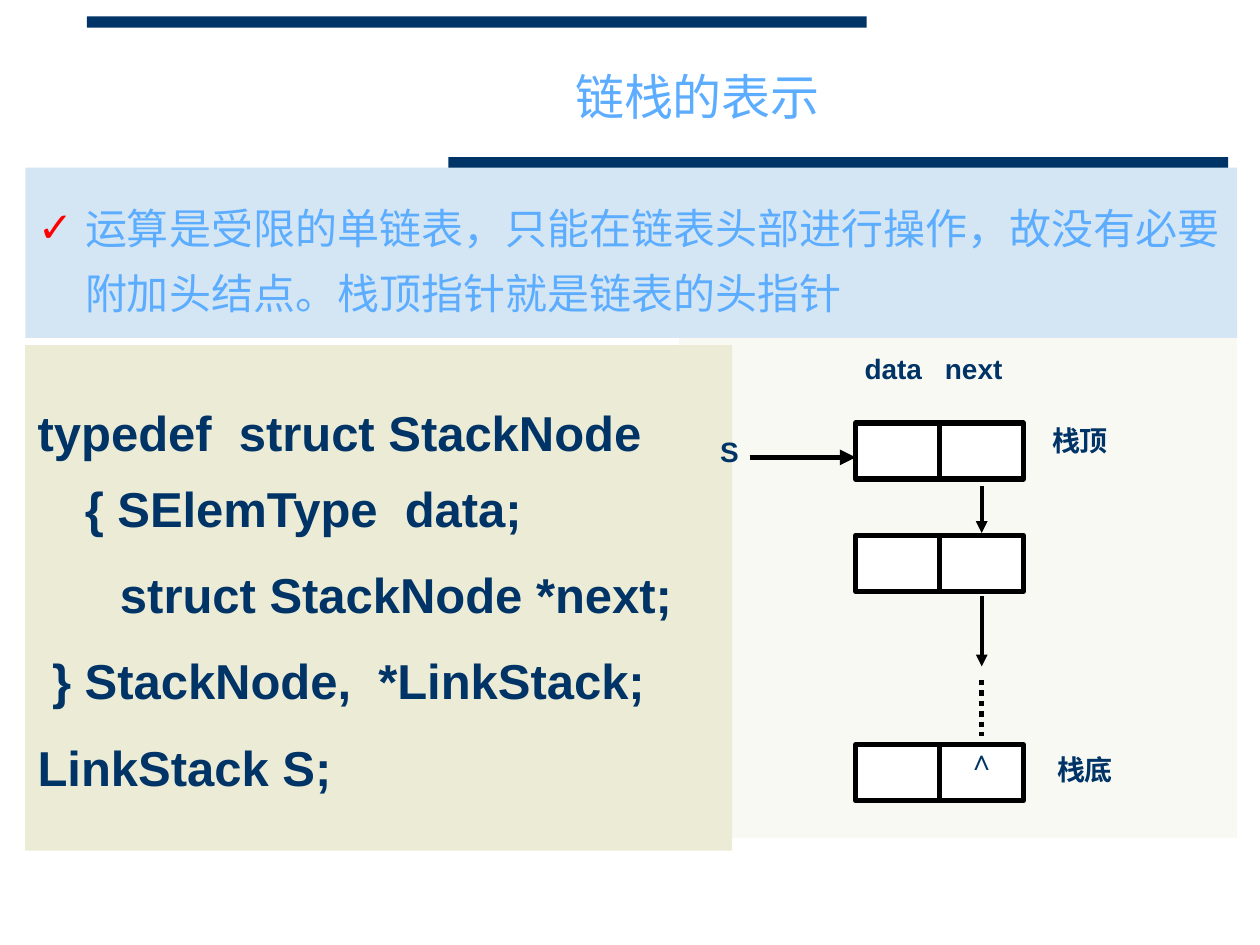
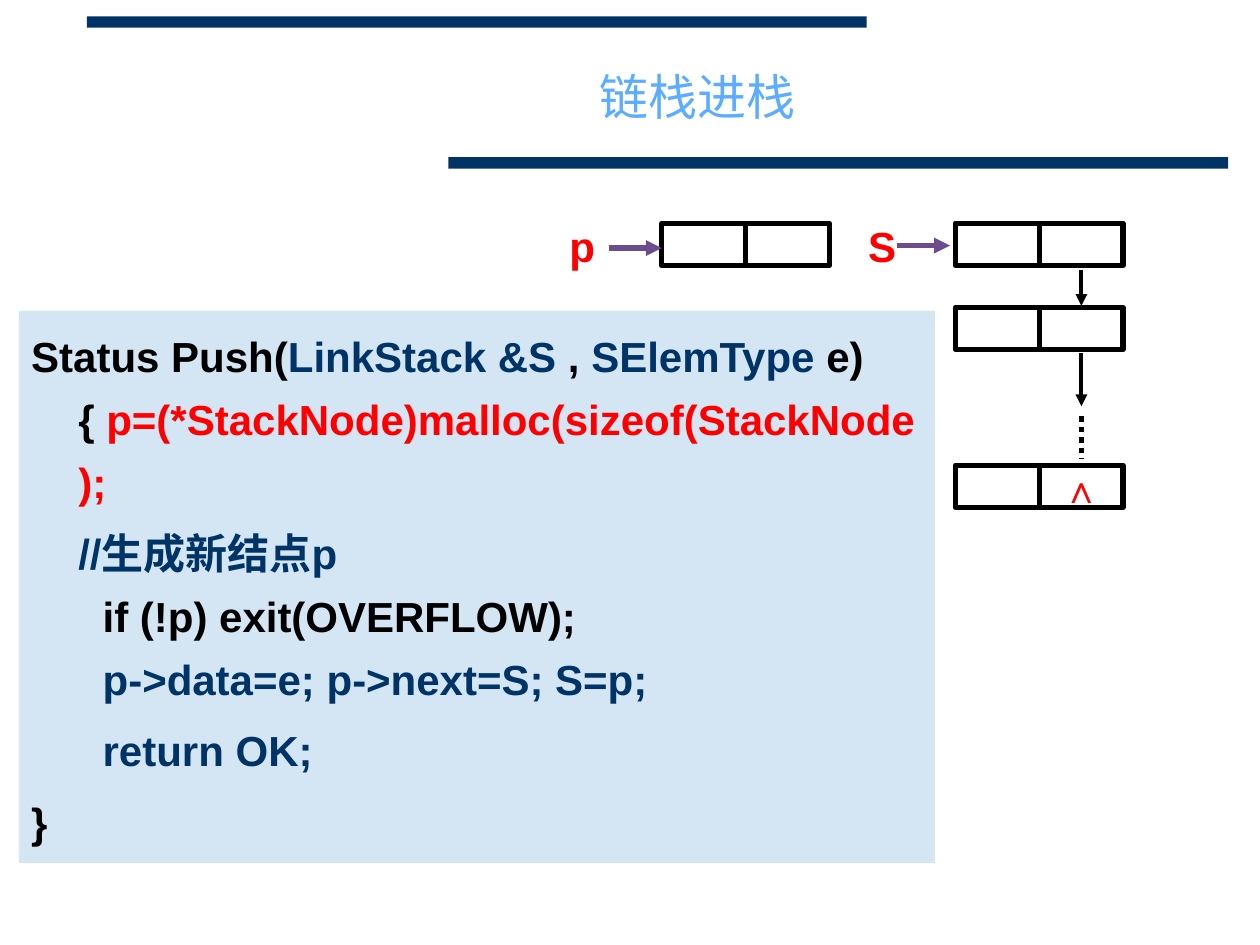
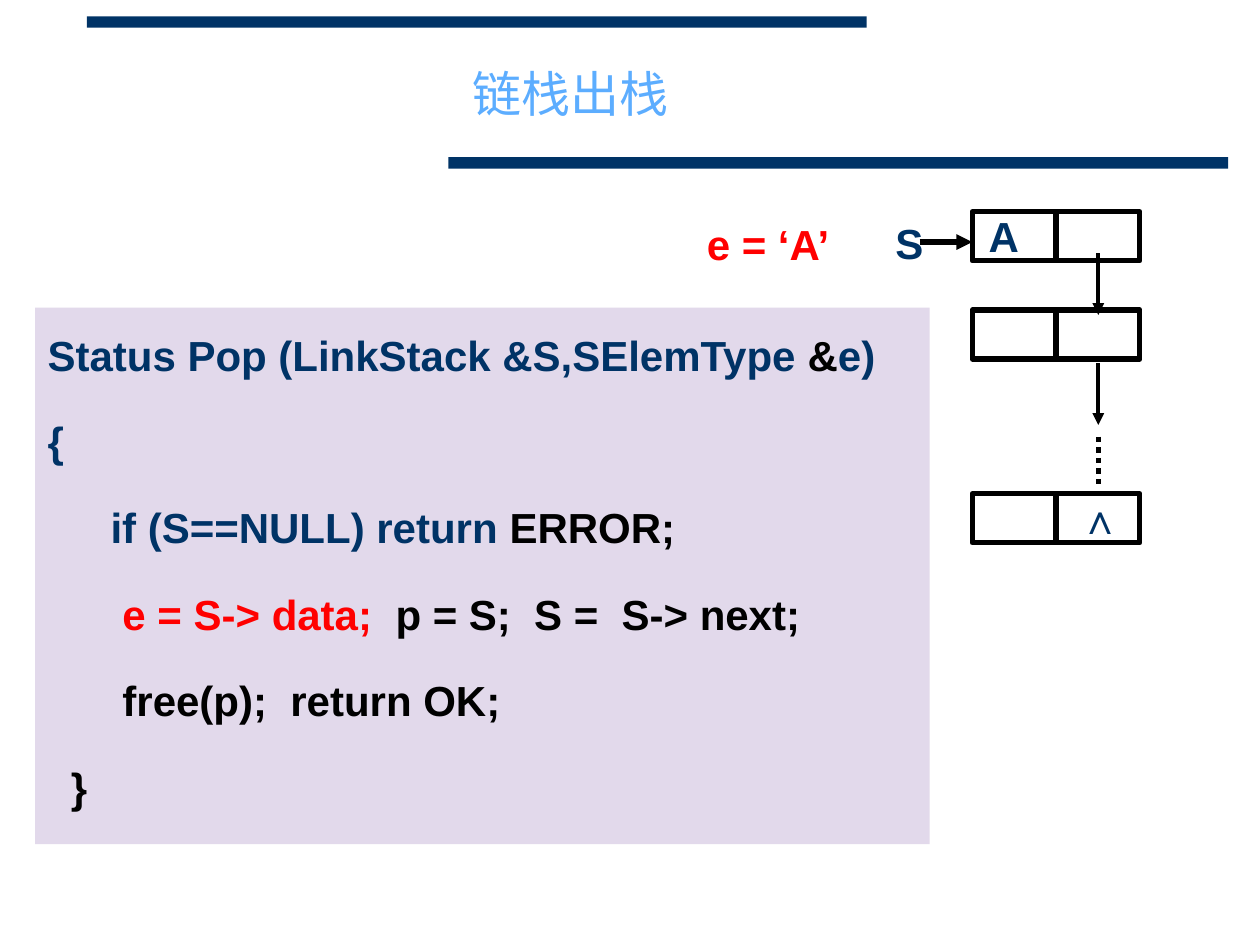
from lxml import etree
from pptx import Presentation
from pptx import util as u
from pptx.dml.color import RGBColor
from pptx.enum import dml, shapes, text
from pptx.oxml import ns

NAVY = RGBColor(0x00, 0x33, 0x66)
SKY = RGBColor(0x5C, 0xAD, 0xFF)
RED = RGBColor(0xFF, 0x00, 0x00)
BLACK = RGBColor(0x00, 0x00, 0x00)
WHITE = RGBColor(0xFF, 0xFF, 0xFF)
PURPLE = RGBColor(0x6C, 0x4C, 0x8F)
PALE_BLUE = RGBColor(0xD4, 0xE6, 0xF4)
PALE_OLIVE = RGBColor(0xEB, 0xEB, 0xD6)
PALE_CREAM = RGBColor(0xF9, 0xF9, 0xF4)
PALE_PURPLE = RGBColor(0xE2, 0xD9, 0xEB)

FONT = "Arial"
NODE_WIDTH = 3.38
LINK_OFFSET = 2.54
BREAK = ("\n", None)


def add_xml(parent, tag, **attributes):
    return etree.SubElement(parent, ns.qn(tag), attributes)


def add_color(parent, color):
    fill = add_xml(parent, "a:solidFill")
    add_xml(fill, "a:srgbClr", val=str(color))


def format_run(run, size, color, bold=True):
    run.font.name = FONT
    run.font.size = u.Pt(size)
    run.font.bold = bold
    run.font.color.rgb = color


def outline_run(run, size):
    format_run(run, size, SKY, bold=False)
    outline = etree.Element(ns.qn("a:ln"), w=str(u.Pt(1.75)))
    add_color(outline, NAVY)
    run.font._element.insert(0, outline)


def set_indent(paragraph, left, first):
    properties = paragraph._p.get_or_add_pPr()
    properties.set("marL", str(u.Cm(left)))
    properties.set("indent", str(u.Cm(first)))
    return properties


def place(shape, left, top, width, height):
    shape.left, shape.top = u.Cm(left), u.Cm(top)
    shape.width, shape.height = u.Cm(width), u.Cm(height)


def add_rect(slide, left, top, width, height, fill, border=None):
    rect = slide.shapes.add_shape(
        shapes.MSO_SHAPE.RECTANGLE, u.Cm(left), u.Cm(top), u.Cm(width), u.Cm(height))
    rect.shadow.inherit = False
    rect.fill.solid()
    rect.fill.fore_color.rgb = fill
    if border is None:
        rect.line.fill.background()
    else:
        rect.line.color.rgb = border
        rect.line.width = u.Pt(3)
    return rect


def add_line(slide, start, end, color=BLACK, width=3, arrow=False, dotted=False):
    line = slide.shapes.add_connector(
        shapes.MSO_CONNECTOR.STRAIGHT, *(u.Cm(v) for v in (*start, *end)))
    line.line.color.rgb = color
    line.line.width = u.Pt(width)
    if dotted:
        line.line.dash_style = dml.MSO_LINE.ROUND_DOT
    if arrow:
        add_xml(line.line._get_or_add_ln(), "a:tailEnd", type="triangle")
    add_xml(line._element.spPr, "a:effectLst")
    return line


def add_label(slide, wording, left, top, width=1.27, size=24, color=NAVY,
              bold=True, align=text.PP_ALIGN.CENTER):
    label = slide.shapes.add_textbox(u.Cm(left), u.Cm(top), u.Cm(width), u.Cm(size * 0.05))
    frame = label.text_frame
    frame.word_wrap = True
    frame.text = wording
    frame.paragraphs[0].alignment = align
    format_run(frame.paragraphs[0].runs[0], size, color, bold)


def add_node(slide, left, top, height):
    node = add_rect(slide, left, top, NODE_WIDTH, height, WHITE, BLACK)
    middle = left + NODE_WIDTH / 2
    divider = add_line(slide, (middle, top), (middle, top + height))
    divider.begin_connect(node, 0)
    divider.end_connect(node, 2)


def add_chain(slide, left, top, pitch, first_link=(0.56, 0.98), size=24, color=NAVY, bold=True):
    for step in (0, 1, 2.87):
        add_node(slide, left, top + step * pitch, pitch / 2)
    link = left + LINK_OFFSET
    for start, end in (first_link, (1.54, 2.17)):
        add_line(slide, (link, top + start * pitch), (link, top + end * pitch),
                 width=2.25, arrow=True)
    add_line(slide, (link, top + 2.29 * pitch), (link, top + 2.79 * pitch), dotted=True)
    add_label(slide, "∧", link - 0.635, top + 2.79 * pitch, size=size, color=color, bold=bold)


def add_pointer(slide, name, label_at, start, length, size=24, name_color=NAVY, color=BLACK):
    add_label(slide, name, *label_at, size=size, color=name_color)
    add_line(slide, start, (start[0] + length, start[1]), color, arrow=True)


def add_code(slide, box, fill, lines, size, spacing, gap, top_inset=0.13):
    panel = add_rect(slide, *box, fill)
    frame = panel.text_frame
    frame.word_wrap = True
    frame.vertical_anchor = text.MSO_ANCHOR.TOP
    frame.margin_top = u.Cm(top_inset)
    for number, (left, first, before, pieces) in enumerate(lines):
        paragraph = frame.add_paragraph() if number else frame.paragraphs[0]
        paragraph.alignment = text.PP_ALIGN.LEFT
        paragraph.line_spacing = spacing
        paragraph.space_before = u.Pt(gap * before)
        set_indent(paragraph, left, first)
        for piece in pieces:
            if piece == BREAK:
                paragraph.add_line_break()
                continue
            wording, color = piece
            run = paragraph.add_run()
            run.text = wording
            format_run(run, size, color)


def add_title(slide, wording, box=(3.81, 0.66, 20.5, 2.54), align=text.PP_ALIGN.CENTER):
    title = slide.shapes.title
    place(title, *box)
    frame = title.text_frame
    frame.text = wording
    frame.vertical_anchor = text.MSO_ANCHOR.MIDDLE
    frame.paragraphs[0].alignment = align
    outline_run(frame.paragraphs[0].runs[0], 28)


def add_remark(slide, wording):
    remark = slide.placeholders[1]
    place(remark, 0.51, 3.38, 24.43, 3.43)
    remark.fill.solid()
    remark.fill.fore_color.rgb = PALE_BLUE
    frame = remark.text_frame
    frame.text = wording
    frame.vertical_anchor = text.MSO_ANCHOR.MIDDLE
    paragraph = frame.paragraphs[0]
    paragraph.line_spacing = 1.3
    paragraph.space_before = u.Pt(4.8)
    properties = set_indent(paragraph, 0.95, -0.95)
    tick_color = add_xml(properties, "a:buClr")
    add_xml(tick_color, "a:srgbClr", val=str(RED))
    add_xml(properties, "a:buFont", typeface=FONT)
    add_xml(properties, "a:buChar", char="✓")
    outline_run(paragraph.runs[0], 24)


def add_master_bars(prs, slide):
    for left, top in ((1.75, 0.33), (9.04, 3.17)):
        bar = add_rect(slide, left, top, 15.72, 0.23, NAVY)
        prs.slide_master.shapes.element.insert(2, bar.element)


def build_representation(slide):
    add_title(slide, "链栈的表示")
    add_remark(slide, "运算是受限的单链表，只能在链表头部进行操作，"
                      "故没有必要附加头结点。栈顶指针就是链表的头指针")
    backdrop = add_rect(slide, 13.69, 6.5, 11.25, 10.39, PALE_CREAM)
    slide.shapes.element.insert(2, backdrop.element)
    lines = [
        (0.95, -0.95, 1, [("typedef  struct StackNode { SElemType  data;", NAVY)]),
        (1.66, 0, 1, [("struct StackNode *next;", NAVY)]),
        (0.29, 0, 1, [("} StackNode,  *LinkStack;", NAVY)]),
        (0, 0, 1, [("LinkStack S;", NAVY)]),
    ]
    add_code(slide, (0.51, 6.96, 14.25, 10.19), PALE_OLIVE, lines, 28, 1.3, 5.6, top_inset=0.79)
    add_chain(slide, 17.25, 8.53, 2.26, size=16)
    for wording, left, top in (("data", 17.18, 6.96), ("next", 18.8, 6.96),
                               ("栈顶", 20.96, 8.41), ("栈底", 21.06, 15.04)):
        add_label(slide, wording, left, top, 2.5, 16, align=text.PP_ALIGN.LEFT)
    add_pointer(slide, "S", (14.07, 8.64), (15.11, 9.22), 2.14, size=16)


def build_push(slide):
    add_title(slide, "链栈进栈")
    lines = [
        (0.95, -0.95, 1, [("Status Push(", BLACK), ("LinkStack &S ", NAVY), (", ", BLACK),
                          ("SElemType", NAVY), (" e)", BLACK), BREAK, ("{ ", BLACK),
                          ("p=(*StackNode)malloc(sizeof(StackNode);", RED)]),
        (0.95, 0, 1, [("//生成新结点p", NAVY)]),
        (1.44, 0, 0, [("if (!p) exit(OVERFLOW);", BLACK), BREAK,
                      ("p->data=e; p->next=S; S=p;", NAVY)]),
        (1.44, 0, 1, [("return OK;", NAVY)]),
        (0, 0, 1, [("}", BLACK)]),
    ]
    add_code(slide, (0.38, 6.27, 18.47, 11.13), PALE_BLUE, lines, 24, 1.25, 4.8)
    add_node(slide, 13.34, 4.5, 0.85)
    add_pointer(slide, "p", (11.1, 4.32), (12.27, 5), 1.07, name_color=RED, color=PURPLE)
    add_chain(slide, 19.26, 4.5, 1.7, size=22, color=RED, bold=False)
    add_pointer(slide, "S", (17.15, 4.32), (18.08, 4.95), 1.07, name_color=RED, color=PURPLE)


def build_pop(slide):
    add_title(slide, "链栈出栈", (9.27, 0.61, 8.97, 2.54), text.PP_ALIGN.LEFT)
    add_chain(slide, 19.6, 4.27, 1.98, first_link=(0.42, 1.05))
    add_pointer(slide, "S", (17.7, 4.27), (18.54, 4.88), 1.06)
    add_label(slide, "A", 19.6, 4.11)
    add_label(slide, "e = ‘A’", 13.26, 4.29, 4.45, color=RED)
    lines = [
        (0, 0, 1, [("Status Pop (LinkStack &S,SElemType ", NAVY), ("&", BLACK), ("e)", NAVY)]),
        (0, 0, 1, [("{", NAVY)]),
        (1.27, 0, 1, [("if (S==NULL) return", NAVY), (" ERROR;", BLACK)]),
        (1.51, 0, 1, [("e = S-> data;", RED), ("  p = S;  S =  S-> next;", BLACK)]),
        (1.51, 0, 1, [("free(p);  return OK;", BLACK)]),
        (0.47, 0, 1, [("}", BLACK)]),
    ]
    add_code(slide, (0.71, 6.2, 18.03, 10.82), PALE_PURPLE, lines, 24, 1.3, 12)


def main():
    prs = Presentation()
    prs.slide_width, prs.slide_height = u.Cm(25.4), u.Cm(19.05)
    title_and_content, title_only = prs.slide_layouts[1], prs.slide_layouts[5]
    representation = prs.slides.add_slide(title_and_content)
    add_master_bars(prs, representation)
    build_representation(representation)
    build_push(prs.slides.add_slide(title_only))
    build_pop(prs.slides.add_slide(title_only))
    prs.save("out.pptx")


if __name__ == "__main__":
    main()
